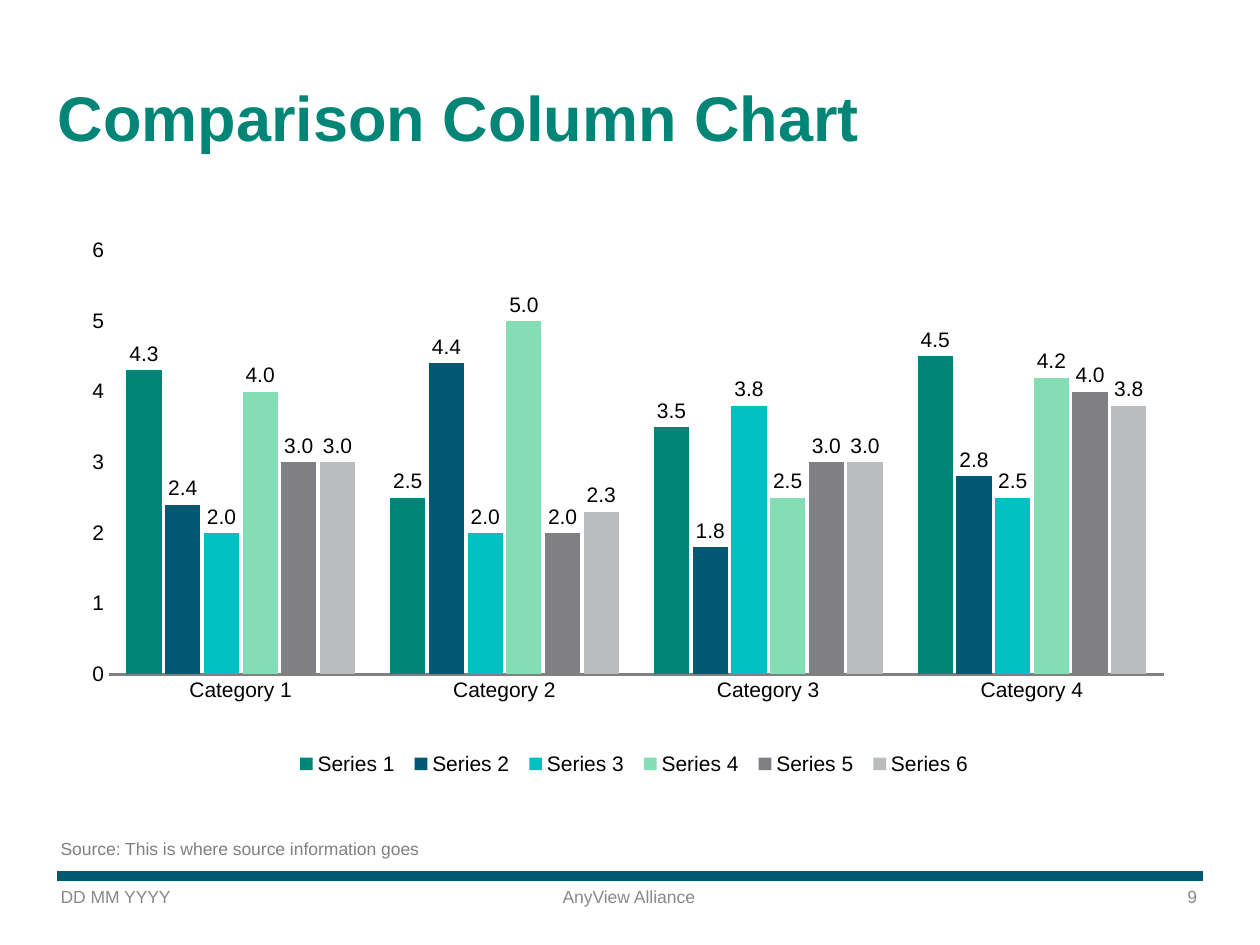
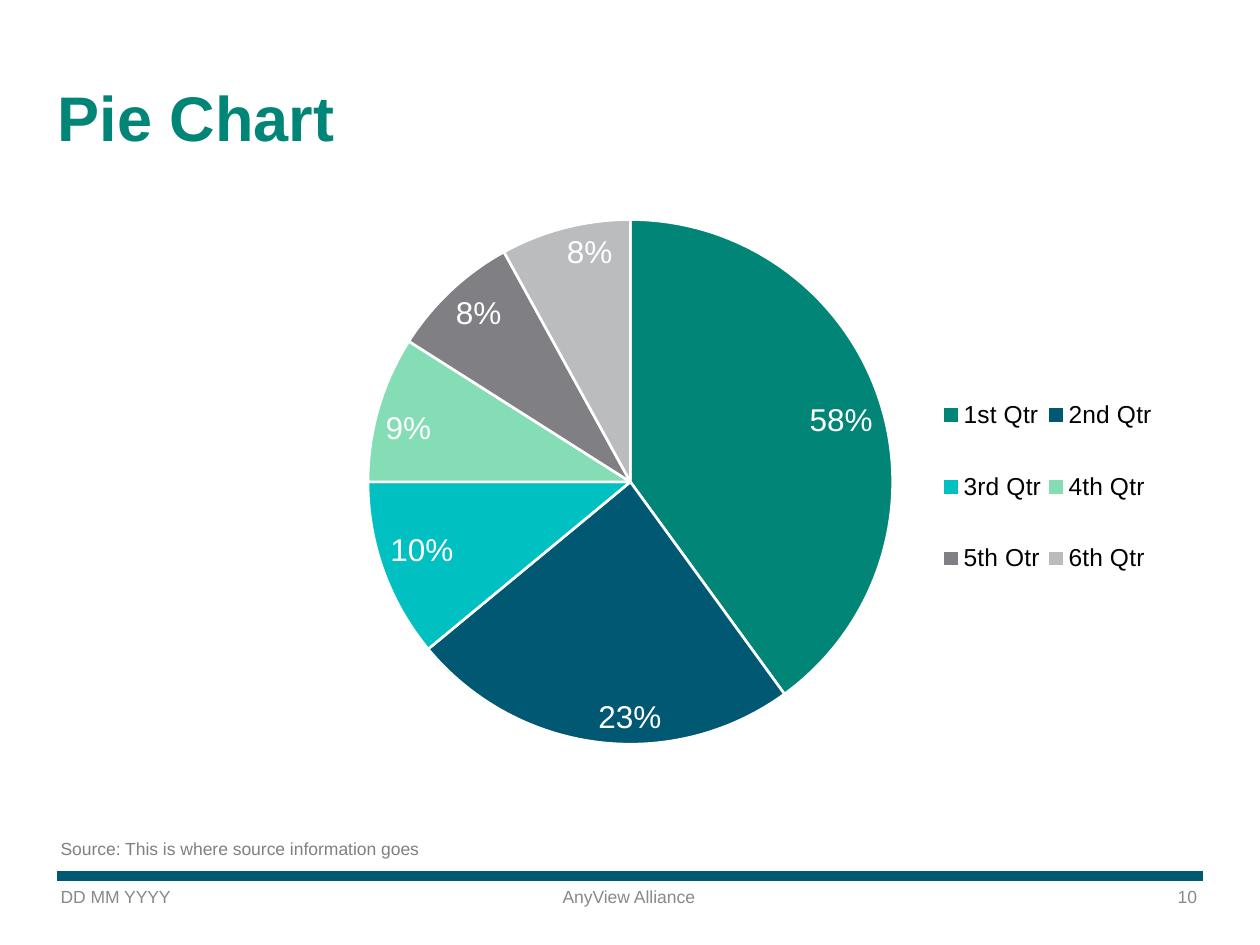
from lxml.etree import SubElement
from pptx import Presentation
from pptx.chart.data import CategoryChartData
from pptx.dml.color import RGBColor
from pptx.enum.chart import (XL_CHART_TYPE as ChartType, XL_LABEL_POSITION as LabelPosition,
                             XL_LEGEND_POSITION as LegendPosition, XL_TICK_MARK as TickMark)
from pptx.enum.shapes import MSO_CONNECTOR as Connector
from pptx.enum.text import MSO_ANCHOR as Anchor, PP_ALIGN as Align
from pptx.oxml.ns import qn
from pptx.util import Pt

FONT = "Arial"
COLORS = {
    "green": "008576", "navy": "005872", "cyan": "00C0C2", "mint": "85DDB5",
    "gray": "807F83", "silver": "BABCBE", "axis": "808080", "footer": "898989",
    "black": "000000", "white": "FFFFFF",
}
PALETTE = ["green", "navy", "cyan", "mint", "gray", "silver"]
ORGANISATION = "AnyView Alliance"
SOURCE = "Source: This is where source information goes"
INSET = 3.6

TITLE_BOX = (29.5, 13.7, 664, 79.2)
SOURCE_BOX = (31, 475.2, 262, 19.4)
FOOTER_BOX = (31, 500.4, 656.6, 19.4)
COLUMN_BOX = (36, 129.6, 640, 328.3)
PIE_BOX = (83.5, 100.1, 578.9, 400.3)

QUARTERS = ["1st Qtr", "2nd Qtr", "3rd Qtr", "4th Qtr", "5th Otr", "6th Qtr"]
QUARTER_SHARES = [40, 24, 11, 9, 8, 8]
WRITTEN_SHARES = ["58%", "23%", "10%", "9%"]
CATEGORY_VALUES = [
    [4.3, 2.5, 3.5, 4.5], [2.4, 4.4, 1.8, 2.8], [2, 2, 3.8, 2.5],
    [4, 5, 2.5, 4.2], [3, 2, 3, 4], [3, 2.3, 3, 3.8],
]


def rgb(name):
    return RGBColor.from_string(COLORS[name])


def assign(target, **values):
    for attribute, value in values.items():
        setattr(target, attribute, value)


def set_font(font, size, color, bold=False):
    assign(font, name=FONT, size=Pt(size), bold=bold)
    font.color.rgb = rgb(color)


def paint(part, color):
    part.format.fill.solid()
    part.format.fill.fore_color.rgb = rgb(color)


def add_text(slide, box, text, size, color, bold=False,
             align=Align.LEFT, anchor=Anchor.TOP, spacing=1.0):
    frame = slide.shapes.add_textbox(*map(Pt, box)).text_frame
    assign(frame, word_wrap=True, vertical_anchor=anchor,
           margin_left=Pt(INSET), margin_right=Pt(INSET),
           margin_top=Pt(INSET), margin_bottom=Pt(INSET))
    paragraph = frame.paragraphs[0]
    assign(paragraph, alignment=align, line_spacing=spacing)
    run = paragraph.add_run()
    run.text = text
    set_font(run.font, size, color, bold)


def add_footer(slide, box, number):
    left, top, width, height = box
    band_y = top
    band = slide.shapes.add_connector(
        Connector.STRAIGHT, Pt(left + 1.4), Pt(band_y), Pt(left + width), Pt(band_y))
    assign(band.line, width=Pt(5.5))
    band.line.color.rgb = rgb("navy")
    SubElement(band._element.spPr, qn("a:effectLst"))
    cell_width = 177.8
    step = (width - cell_width) / 2
    cells = [("DD MM YYYY", Align.LEFT), (ORGANISATION, Align.CENTER),
             (str(number), Align.RIGHT)]
    for column, (text, align) in enumerate(cells):
        add_text(slide, (left + column * step, top + 2.2, cell_width, height),
                 text, 10, "footer", align=align)


def add_frame(presentation, title, number):
    slide = presentation.slides.add_slide(presentation.slide_layouts[6])
    add_footer(slide, FOOTER_BOX, number)
    add_text(slide, TITLE_BOX, title, 36, "green", True, anchor=Anchor.BOTTOM, spacing=0.95)
    add_text(slide, SOURCE_BOX, SOURCE, 10, "gray")
    return slide


def set_layout(parent, index, box, inner=False):
    for old in parent.findall(qn("c:layout")):
        parent.remove(old)
    layout = SubElement(parent, qn("c:layout"))
    parent.insert(index, layout)
    manual = SubElement(layout, qn("c:manualLayout"))
    settings = [("layoutTarget", "inner")] if inner else []
    settings += [("xMode", "edge"), ("yMode", "edge"), *zip("xywh", box)]
    for tag, value in settings:
        SubElement(manual, qn("c:" + tag)).set("val", str(value))


def add_chart(slide, box, kind, categories, series, size, plot_box,
              legend_position, legend_size, legend_box):
    data = CategoryChartData()
    data.categories = categories
    for name, values in series:
        data.add_series(name, values)
    chart = slide.shapes.add_chart(kind, *map(Pt, box), data).chart
    assign(chart, has_title=False, has_legend=True)
    set_font(chart.font, size, "black")
    assign(chart.legend, position=legend_position, include_in_layout=False)
    set_font(chart.legend.font, legend_size, "black")
    set_layout(chart._chartSpace.chart.plotArea, 0, plot_box, inner=True)
    set_layout(chart.legend._element, 1, legend_box)
    return chart


def style_axes(chart):
    for axis in (chart.category_axis, chart.value_axis):
        assign(axis, has_major_gridlines=False,
               major_tick_mark=TickMark.NONE, minor_tick_mark=TickMark.NONE)
    category_line = chart.category_axis.format.line
    category_line.width = Pt(1.75)
    category_line.color.rgb = rgb("axis")
    assign(chart.value_axis, minimum_scale=0, maximum_scale=6, major_unit=1)
    chart.value_axis.format.line.fill.background()
    assign(chart.value_axis.tick_labels, number_format="0", number_format_is_linked=False)


def add_column_chart(slide, box):
    series = [(f"Series {n}", values) for n, values in enumerate(CATEGORY_VALUES, 1)]
    chart = add_chart(slide, box, ChartType.COLUMN_CLUSTERED,
                      [f"Category {n}" for n in range(1, 5)], series, 12,
                      (0.041, 0.041, 0.942, 0.738),
                      LegendPosition.BOTTOM, 12, (0.2, 0.9, 0.62, 0.07))
    style_axes(chart)
    assign(chart.plots[0], gap_width=100, overlap=-10, vary_by_categories=False)
    for columns, color in zip(chart.plots[0].series, PALETTE):
        paint(columns, color)
        assign(columns.data_labels, show_value=True, position=LabelPosition.OUTSIDE_END,
               number_format="#,##0.0", number_format_is_linked=False)
        set_font(columns.data_labels.font, 12, "black")


def add_pie_chart(slide, box):
    chart = add_chart(slide, box, ChartType.PIE, QUARTERS, [("Series 1", QUARTER_SHARES)], 18,
                      (0.219, 0.063, 0.518, 0.75),
                      LegendPosition.RIGHT, 14, (0.78, 0.26, 0.22, 0.37))
    chart.plots[0].vary_by_categories = True
    pie = chart.plots[0].series[0]
    for index, color in enumerate(PALETTE):
        wedge = pie.points[index]
        paint(wedge, color)
        wedge.format.line.width = Pt(1.5)
        wedge.format.line.color.rgb = rgb("white")
    assign(pie.data_labels, show_percentage=True, show_value=False,
           position=LabelPosition.INSIDE_END,
           number_format="0%", number_format_is_linked=False)
    set_font(pie.data_labels.font, 18, "white")
    for index, share in enumerate(WRITTEN_SHARES):
        label = pie.points[index].data_label
        run = label.text_frame.paragraphs[0].add_run()
        run.text = share
        set_font(run.font, 18, "white")
        label.position = LabelPosition.INSIDE_END


presentation = Presentation()
assign(presentation, slide_width=Pt(720), slide_height=Pt(540))
add_column_chart(add_frame(presentation, "Comparison Column Chart", 9), COLUMN_BOX)
add_pie_chart(add_frame(presentation, "Pie Chart", 10), PIE_BOX)
presentation.save("out.pptx")
